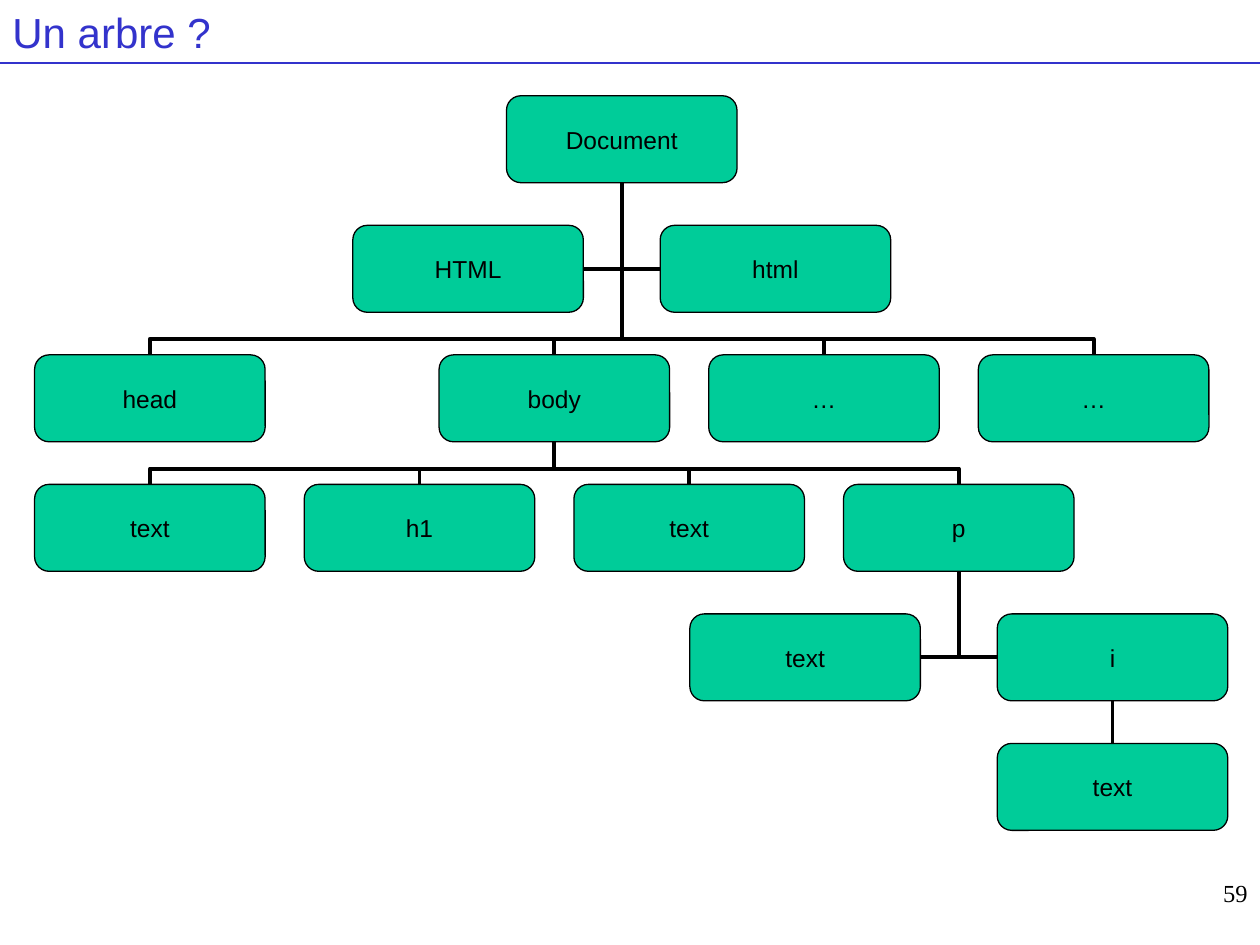
"""Build a slide showing an HTML document as a tree of nodes."""
from dataclasses import dataclass

from lxml import etree
from pptx import Presentation
from pptx.dml.color import RGBColor
from pptx.enum import shapes, text
from pptx.oxml.ns import qn
from pptx.util import Inches, Pt


@dataclass(frozen=True)
class Theme:
    title: RGBColor = RGBColor(0x33, 0x33, 0xCC)
    node: RGBColor = RGBColor(0x00, 0xCC, 0x99)
    ink: RGBColor = RGBColor(0, 0, 0)
    sans: str = "Arial"
    serif: str = "Times New Roman"
    title_size: int = 24
    body_size: int = 14
    thin: float = 0.75
    thick: float = 2.25


theme = Theme()
W, H = 10, 7.5
COL, ROW = 2.14, 1.028
X0, Y0 = 1.19, 0.76
NODE_W, NODE_H = 1.83, 0.69
ROOT, PARA, SIDE = 1.75, 3, 0.57
BUS = 0.125

prs = Presentation()
prs.slide_width, prs.slide_height = Inches(W), Inches(H)
s = prs.slides.add_slide(prs.slide_layouts[6])


def write(sp, words, font, size, color, align, anchor):
    tf = sp.text_frame
    tf.vertical_anchor = anchor
    p = tf.paragraphs[0]
    p.alignment = align
    r = p.add_run()
    r.text = words
    r.font.name, r.font.size = font, Pt(size)
    r.font.color.rgb = color


def connect(kind, x, y, w, h, color, width, turn=0, flips=(), adj=None):
    c = s.shapes.add_connector(kind, *map(Inches, (x, y, x + w, y + h)))
    c.line.color.rgb, c.line.width = color, Pt(width)
    spPr = c._element.spPr
    etree.SubElement(spPr, qn("a:effectLst"))
    xfrm, geom = spPr.find(qn("a:xfrm")), spPr.find(qn("a:prstGeom"))
    if turn:
        xfrm.set("rot", str(turn * 60000))
    for flip in flips:
        xfrm.set(flip, "1")
    if adj is not None:
        gd = etree.SubElement(geom.find(qn("a:avLst")), qn("a:gd"))
        gd.set("name", "adj1")
        gd.set("fmla", f"val {round(adj * 100000)}")
    elif kind == shapes.MSO_CONNECTOR.ELBOW:
        geom.set("prst", "bentConnector2")


connect(shapes.MSO_CONNECTOR.STRAIGHT, 0, H / 15, W, 0, theme.title, theme.thin)
sp = s.shapes.add_textbox(0, 0, Inches(W), Inches(H / 15))
sp.text_frame.word_wrap = True
write(sp, "Un arbre ?", theme.sans, theme.title_size, theme.title,
      text.PP_ALIGN.LEFT, text.MSO_ANCHOR.MIDDLE)

# label, column, row, parent index, attachment
nodes = [
    ("Document", ROOT, 0, None, None),
    ("HTML", ROOT - SIDE, 1, 0, "side"),
    ("html", ROOT + SIDE, 1, 0, "side"),
    ("head", 0, 2, 0, "bus"),
    ("body", 1.5, 2, 0, "bus"),
    ("…", 2.5, 2, 0, "bus"),
    ("…", 3.5, 2, 0, "bus"),
    ("text", 0, 3, 4, "bus"),
    ("h1", 1, 3, 4, "bus"),
    ("text", 2, 3, 4, "bus"),
    ("p", PARA, 3, 4, "bus"),
    ("text", PARA - SIDE, 4, 10, "side"),
    ("i", PARA + SIDE, 4, 10, "side"),
    ("text", PARA + SIDE, 5, 12, "below"),
]

for label, col, row, parent, style in nodes:
    if parent is None:
        continue
    x, y = X0 + col * COL, Y0 + row * ROW
    px = X0 + nodes[parent][1] * COL
    py = Y0 + nodes[parent][2] * ROW + NODE_H
    right = x > px
    if style == "bus":
        dx, dy = abs(x - px), y - py
        left, top = (x + px - dy) / 2, (y + py - dx) / 2
        box = (left, top, dy, dx)
        turn, flips = (270, ["flipV"]) if right else (90, ["flipH", "flipV"])
        adj = BUS / dy
    else:
        if style == "side":
            x += -NODE_W / 2 if right else NODE_W / 2
            y += NODE_H / 2
        box = (min(x, px), py, abs(x - px), y - py)
        turn, flips = (180, []) if right else (0, ["flipV"])
        adj = None
    connect(shapes.MSO_CONNECTOR.ELBOW, *box, theme.ink, theme.thick, turn, flips, adj)

for label, col, row, parent, style in nodes:
    sp = s.shapes.add_shape(
        shapes.MSO_SHAPE.ROUNDED_RECTANGLE,
        Inches(X0 + col * COL - NODE_W / 2), Inches(Y0 + row * ROW),
        Inches(NODE_W), Inches(NODE_H))
    sp.shadow.inherit = False
    sp.fill.solid()
    sp.fill.fore_color.rgb = theme.node
    sp.line.color.rgb, sp.line.width = theme.ink, Pt(theme.thin)
    tf = sp.text_frame
    tf.word_wrap = False
    tf.margin_left = tf.margin_right = tf.margin_top = tf.margin_bottom = 0
    write(sp, label, theme.sans, theme.body_size, theme.ink,
          text.PP_ALIGN.CENTER, text.MSO_ANCHOR.MIDDLE)

sp = s.shapes.add_textbox(*map(Inches, (W - 2.08, 6.92, 2.08, H / 15)))
sp.text_frame.word_wrap = True
write(sp, "59", theme.serif, theme.body_size, theme.ink,
      text.PP_ALIGN.RIGHT, text.MSO_ANCHOR.TOP)

prs.save("out.pptx")
